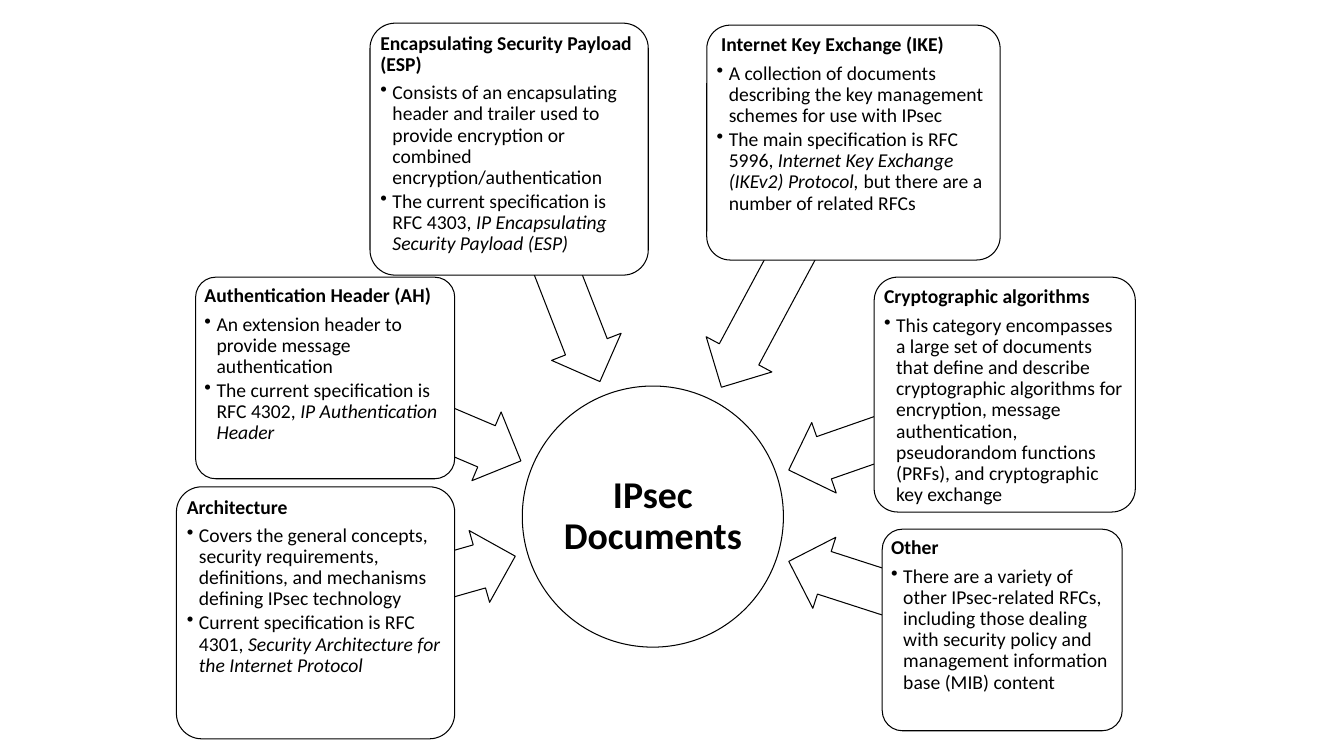
from lxml import etree
from pptx import Presentation
from pptx import util as u
from pptx.dml.color import RGBColor
from pptx.enum import shapes, text
from pptx.oxml import ns

COLORS = {"paper": "FFFFFF", "ink": "000000"}
FONT = "Calibri"
BULLET_INDENT = u.Inches(0.12)

TOPICS = [
    {
        "arrow": (3.09, 5.43, 2.06, 0.74), "rotation": 164.1,
        "card": (1.75, 4.83, 2.76, 2.5),
        "title": "Architecture",
        "bullets": [
            [("Covers the general concepts, security requirements, definitions, "
              "and mechanisms defining IPsec technology", False)],
            [("Current specification is RFC 4301, ", False),
             ("Security Architecture for the Internet Protocol", True)],
        ],
    },
    {
        "arrow": (3.14, 3.79, 2.11, 0.74), "rotation": 203,
        "card": (1.94, 2.75, 2.57, 2),
        "title": "Authentication Header (AH)",
        "bullets": [
            [("An extension header to provide message authentication", False)],
            [("The current specification is RFC 4302, ", False),
             ("IP Authentication Header", True)],
        ],
    },
    {
        "arrow": (4.26, 2.26, 2.48, 0.74), "rotation": 248.7,
        "card": (3.67, 0.23, 2.76, 2.5),
        "title": "Encapsulating Security Payload (ESP)",
        "bullets": [
            [("Consists of an encapsulating header and trailer used to provide "
              "encryption or combined encryption/authentication", False)],
            [("The current specification is RFC 4303, ", False),
             ("IP Encapsulating Security Payload (ESP)", True)],
        ],
    },
    {
        "arrow": (6.43, 2.26, 2.75, 0.74), "rotation": 298.2,
        "card": (7.01, 0.25, 2.91, 2.33),
        "title": " Internet Key Exchange (IKE)",
        "bullets": [
            [("A collection of documents describing the key management schemes "
              "for use with IPsec", False)],
            [("The main specification is RFC 5996, ", False),
             ("Internet Key Exchange (IKEv2) Protocol, ", True),
             ("but there are a number of related RFCs", False)],
        ],
    },
    {
        "arrow": (7.76, 3.92, 2.27, 0.74), "rotation": 340.8,
        "card": (8.67, 2.75, 2.59, 2.33),
        "title": "Cryptographic algorithms",
        "bullets": [
            [("This category encompasses a large set of documents that define and "
              "describe cryptographic algorithms for encryption, message "
              "authentication, pseudorandom functions (PRFs), and cryptographic "
              "key exchange", False)],
        ],
    },
    {
        "arrow": (7.77, 5.54, 2.22, 0.74), "rotation": 17.9,
        "card": (8.75, 5.25, 2.38, 2),
        "title": "Other",
        "bullets": [
            [("There are a variety of other IPsec-related RFCs, including those "
              "dealing with security policy and management information base (MIB) "
              "content", False)],
        ],
    },
]


def add_outlined_shape(slide, kind, box, adjustments=(), rotation=0):
    shape = slide.shapes.add_shape(kind, *(u.Inches(length) for length in box))
    for index, value in enumerate(adjustments):
        shape.adjustments[index] = value
    shape.rotation = rotation
    shape.shadow.inherit = False
    shape.fill.solid()
    shape.fill.fore_color.rgb = RGBColor.from_string(COLORS["paper"])
    shape.line.color.rgb = RGBColor.from_string(COLORS["ink"])
    shape.line.width = u.Pt(0.75)
    return shape


def set_up_frame(shape, inset, anchor):
    frame = shape.text_frame
    frame.word_wrap = True
    frame.vertical_anchor = anchor
    frame.margin_left = frame.margin_right = u.Inches(inset)
    frame.margin_top = frame.margin_bottom = u.Inches(inset)
    return frame


def add_text(paragraph, content, size=14, bold=False, italic=False):
    run = paragraph.add_run()
    run.text = content
    run.font.name = FONT
    run.font.size = u.Pt(size)
    run.font.bold = bold
    run.font.italic = italic
    run.font.color.rgb = RGBColor.from_string(COLORS["ink"])


def format_paragraph(paragraph, alignment=text.PP_ALIGN.LEFT, space_after=0):
    paragraph.alignment = alignment
    paragraph.line_spacing = 0.9
    paragraph.space_after = u.Pt(space_after)


def add_bullet(frame, runs):
    paragraph = frame.add_paragraph()
    paragraph.level = 1
    format_paragraph(paragraph, space_after=2)
    properties = paragraph._p.get_or_add_pPr()
    properties.set("marL", str(BULLET_INDENT))
    properties.set("indent", str(-BULLET_INDENT))
    etree.SubElement(properties, ns.qn("a:buChar")).set("char", "•")
    for content, italic in runs:
        add_text(paragraph, content, italic=italic)


def add_hub(slide):
    hub = add_outlined_shape(slide, shapes.MSO_SHAPE.OVAL, (5.18, 3.83, 2.59, 2.59))
    frame = set_up_frame(hub, 0.02, text.MSO_ANCHOR.MIDDLE)
    format_paragraph(frame.paragraphs[0], alignment=text.PP_ALIGN.CENTER)
    add_text(frame.paragraphs[0], "IPsec Documents", size=27, bold=True)


def add_topic(slide, topic):
    add_outlined_shape(slide, shapes.MSO_SHAPE.LEFT_ARROW, topic["arrow"],
                       (0.6, 0.5), topic["rotation"])
    card = add_outlined_shape(slide, shapes.MSO_SHAPE.ROUNDED_RECTANGLE,
                              topic["card"], (0.1,))
    frame = set_up_frame(card, 0.03, text.MSO_ANCHOR.TOP)
    format_paragraph(frame.paragraphs[0], space_after=5)
    add_text(frame.paragraphs[0], topic["title"], bold=True)
    for runs in topic["bullets"]:
        add_bullet(frame, runs)


def main():
    presentation = Presentation()
    presentation.slide_width = u.Inches(13.33)
    presentation.slide_height = u.Inches(7.5)
    slide = presentation.slides.add_slide(presentation.slide_layouts[6])
    add_hub(slide)
    for topic in TOPICS:
        add_topic(slide, topic)
    presentation.save("out.pptx")


if __name__ == "__main__":
    main()
